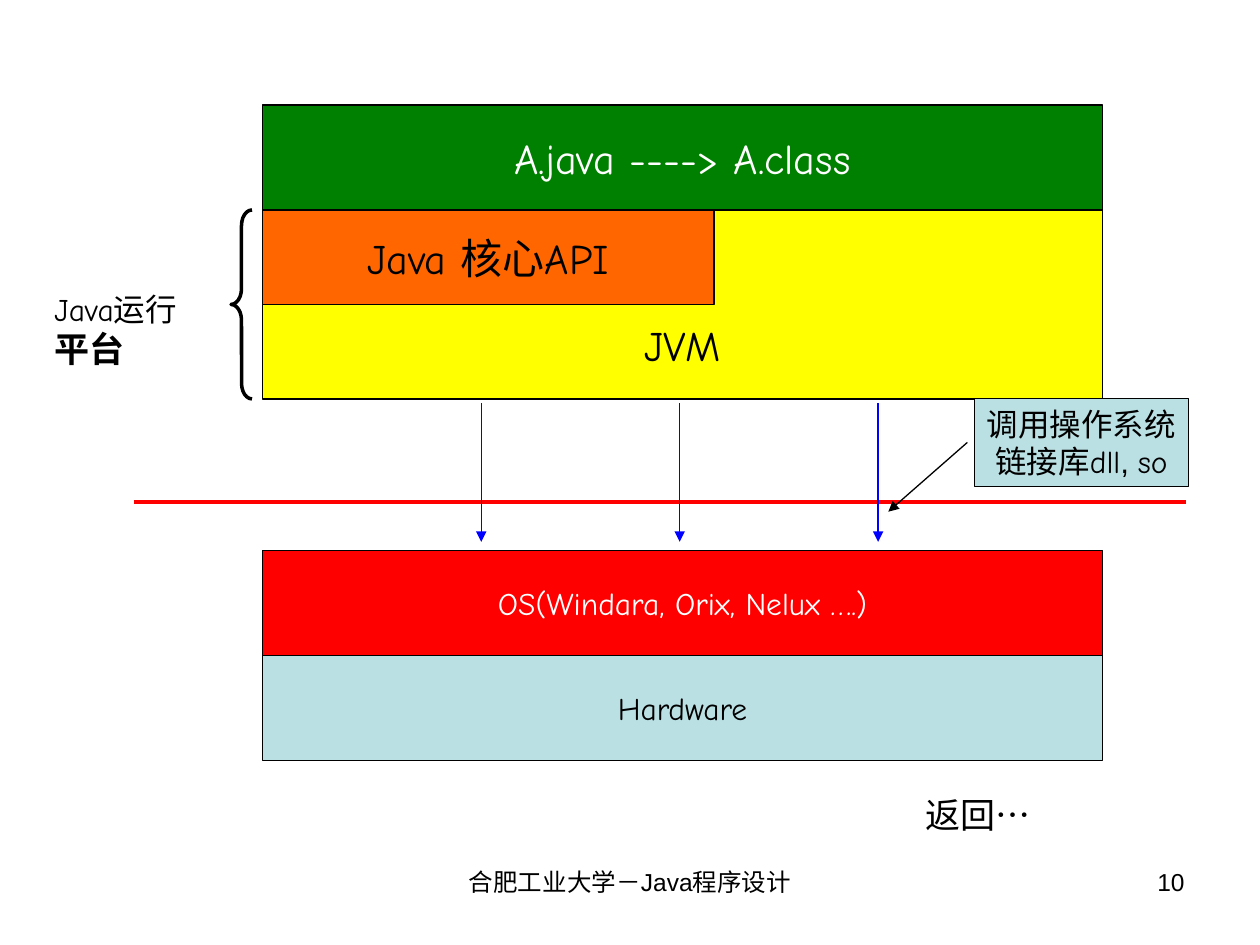
from pptx import Presentation
from pptx.dml.color import RGBColor
from pptx.enum.shapes import MSO_CONNECTOR, MSO_SHAPE
from pptx.enum.text import MSO_ANCHOR, MSO_AUTO_SIZE, PP_ALIGN
from pptx.oxml.ns import qn
from pptx.util import Pt
from lxml import etree

RECTANGLE = MSO_SHAPE.RECTANGLE
LEFT_BRACE = MSO_SHAPE.LEFT_BRACE
STRAIGHT = MSO_CONNECTOR.STRAIGHT
MIDDLE = MSO_ANCHOR.MIDDLE
LEFT, CENTER, RIGHT = PP_ALIGN.LEFT, PP_ALIGN.CENTER, PP_ALIGN.RIGHT
FIT_SHAPE = MSO_AUTO_SIZE.SHAPE_TO_FIT_TEXT

BLACK, WHITE, RED, BLUE = "000000", "FFFFFF", "FF0000", "0000FF"
GREEN, YELLOW, ORANGE, PALE = "008000", "FFFF00", "FF6600", "BBE0E3"
COMIC, ARIAL = "Comic Neue", "Arial"


def color(value):
    return RGBColor.from_string(value)


def add_span(para, text, font=COMIC, size=18, ink=BLACK, bold=False):
    span = para.add_run()
    span.text = text
    span.font.name = font
    span.font.size = Pt(size)
    span.font.bold = bold
    span.font.color.rgb = color(ink)


class Page:
    def __init__(self, deck):
        self.shapes = deck.slides.add_slide(deck.slide_layouts[6]).shapes

    def add_lines(self, frame, lines, align=CENTER, before=0):
        for index, line in enumerate(lines):
            para = frame.add_paragraph() if index else frame.paragraphs[0]
            para.alignment = align
            para.space_before = Pt(before)
            for text, style in line:
                add_span(para, text, **style)

    def block(self, left, top, width, height, fill, lines, margin_top=3.6):
        box = self.shapes.add_shape(RECTANGLE, Pt(left), Pt(top), Pt(width), Pt(height))
        box.shadow.inherit = False
        box.fill.solid()
        box.fill.fore_color.rgb = color(fill)
        box.line.color.rgb = color(BLACK)
        box.line.width = Pt(0.75)
        frame = box.text_frame
        frame.word_wrap = False
        frame.vertical_anchor = MIDDLE
        frame.margin_top = Pt(margin_top)
        self.add_lines(frame, lines)
        return box

    def label(self, left, top, width, height, line, align=LEFT, before=0):
        box = self.shapes.add_textbox(Pt(left), Pt(top), Pt(width), Pt(height))
        box.text_frame.word_wrap = True
        self.add_lines(box.text_frame, [line], align, before)

    def brace(self, left, top, width, height):
        brace = self.shapes.add_shape(LEFT_BRACE, Pt(left), Pt(top), Pt(width), Pt(height))
        brace.adjustments[0] = 0.75
        brace.shadow.inherit = False
        brace.fill.background()
        brace.line.color.rgb = color(BLACK)
        brace.line.width = Pt(2)

    def line(self, x1, y1, x2, y2, ink, width=0.75, arrow=True):
        line = self.shapes.add_connector(STRAIGHT, Pt(x1), Pt(y1), Pt(x2), Pt(y2))
        line.line.color.rgb = color(ink)
        line.line.width = Pt(width)
        properties = line._element.spPr
        if arrow:
            etree.SubElement(properties.find(qn("a:ln")), qn("a:tailEnd"), type="triangle")
        etree.SubElement(properties, qn("a:effectLst"))


def main():
    deck = Presentation()
    deck.slide_width, deck.slide_height = Pt(720), Pt(540)
    page = Page(deck)
    arial = {"font": ARIAL}
    large = {"size": 24}
    footer = {"font": ARIAL, "size": 14}
    stack_left, stack_width, layer = 150, 480, 60
    platform_top, platform_height, system_top = 120, 108, 314.4

    page.label(246, 492, 228, 37.5, [("合肥工业大学－Java程序设计", footer)], CENTER)
    page.label(516, 492, 168, 37.5, [("10", footer)], RIGHT)

    page.block(stack_left, system_top + layer, stack_width, layer, PALE,
               [[("Hardware", {})]])
    page.block(stack_left, system_top, stack_width, layer, RED,
               [[("OS(Windara, Orix, Nelux ….)", {"ink": WHITE})]])
    page.block(stack_left, platform_top, stack_width, platform_height, YELLOW,
               [[("JVM", large)]], margin_top=50)
    page.block(stack_left, platform_top, 258, platform_height / 2, ORANGE,
               [[("Java 核心API", large)]])
    page.brace(132, platform_top, 12, platform_height)
    page.block(stack_left, platform_top - layer, stack_width, layer, GREEN,
               [[("A.java ----> A.class", {"size": 24, "ink": WHITE})]])

    page.label(24, 162, 102, 53.5,
               [("Java运行", {}), ("平台", {"font": ARIAL, "size": 20, "bold": True})],
               before=12.5)
    page.label(522, 450, 126, 31.5, [("返回…", {"font": ARIAL, "size": 20})], before=12.5)

    page.line(76.5, 287, 677.5, 287, RED, width=2.25, arrow=False)
    for index in range(3):
        x = 275 + 113.4 * index
        page.line(x, 230.4, x, 309.6, BLUE)

    callout = page.block(556.8, 227.6, 122.4, 50.4, PALE, [
        [("调用操作系统", arial)],
        [("链接库", arial), ("dll", {}), (", ", arial), ("so", {})],
    ])
    callout.text_frame.auto_size = FIT_SHAPE
    page.line(552.8, 252.8, 507.6, 292.4, BLACK)

    deck.save("out.pptx")


if __name__ == "__main__":
    main()
